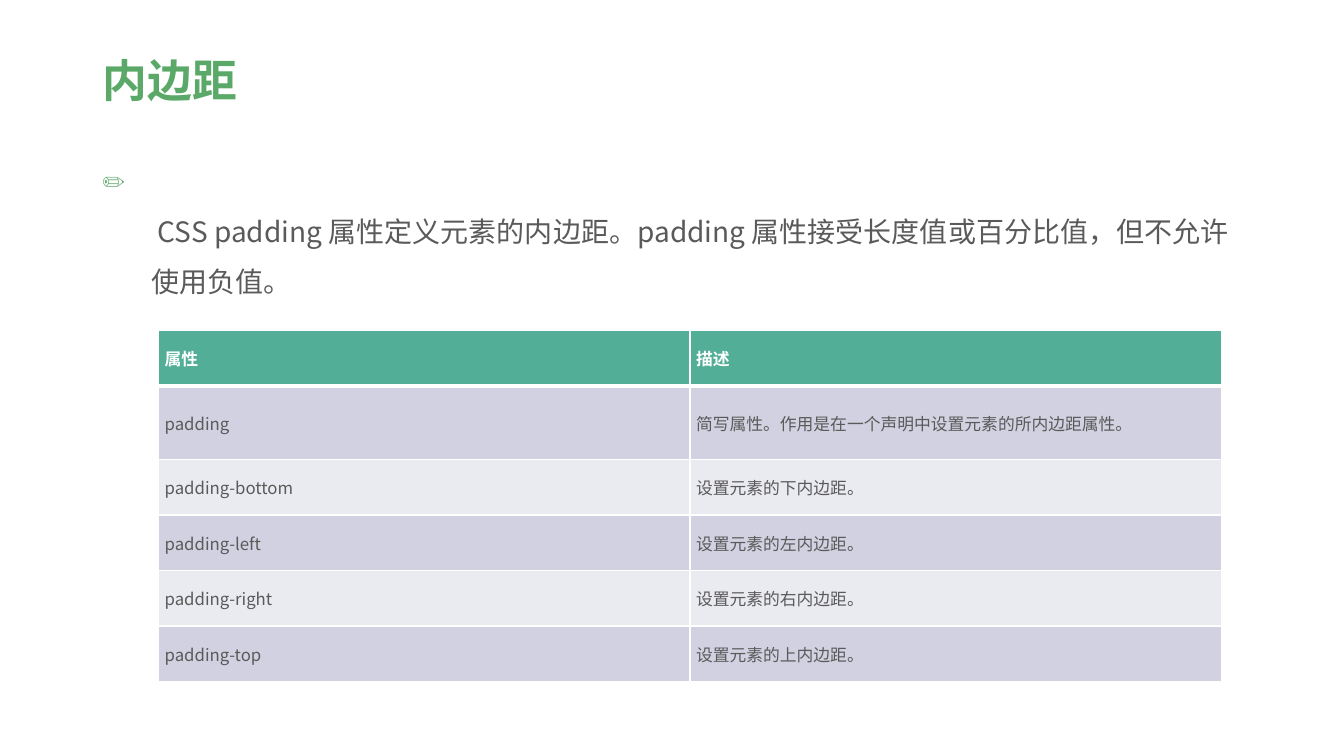
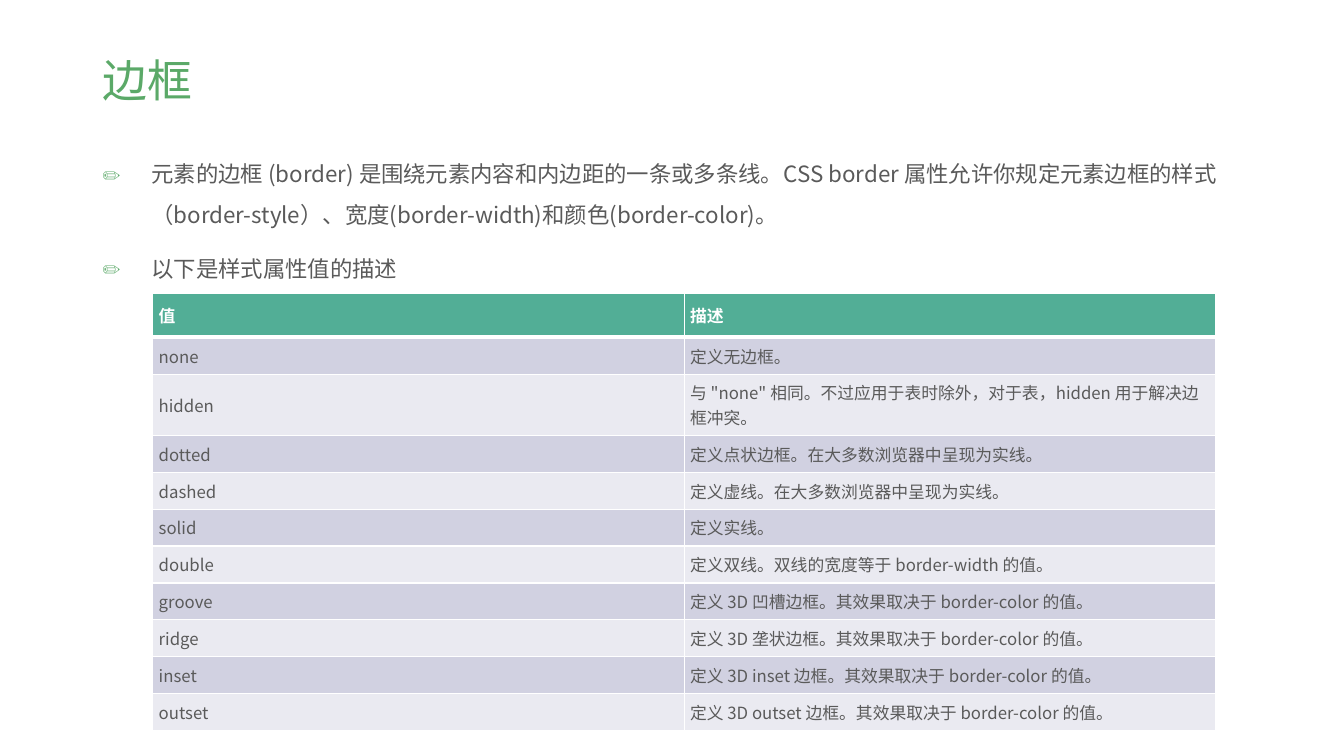
from copy import deepcopy
from dataclasses import dataclass

from pptx import Presentation
from pptx.dml.color import RGBColor
from pptx.enum.text import MSO_ANCHOR as Anchor, PP_ALIGN as Align
from pptx.oxml.ns import qn
from pptx.oxml.xmlchemy import OxmlElement
from pptx.slide import Slide
from pptx.util import Cm, Pt

FONT = "Noto Sans CJK SC"
GREEN = RGBColor(0x5B, 0xA9, 0x68)
GREY = RGBColor(0x5A, 0x5A, 0x5A)
WHITE = RGBColor(0xFF, 0xFF, 0xFF)
TEAL = RGBColor(0x52, 0xAE, 0x96)
BANDS = (RGBColor(0xD1, 0xD1, 0xE1), RGBColor(0xEA, 0xEA, 0xF1))

TITLE_ONLY = 5
TITLE_BOX = {"left": Cm(2.33), "top": Cm(1.01), "width": Cm(29.21), "height": Cm(2.15)}
BODY_BOX = {"left": Cm(2.33), "top": Cm(3.58), "width": Cm(29.21), "height": Cm(13.87)}
BODY_INDENT = Cm(1.24)
COLUMN_WIDTH = Cm(13.39)
HEADER_MARGINS = {"margin_left": Cm(0.15), "margin_right": Cm(0.41),
                  "margin_top": Cm(0.13), "margin_bottom": Cm(0.13)}
ROW_MARGINS = HEADER_MARGINS | {"margin_top": Cm(0.15), "margin_bottom": Cm(0.15)}


@dataclass(frozen=True)
class PropertyTable:
    left: float
    top: float
    header_height: float
    row_height: float
    tall_row: int
    tall_height: float
    rows: tuple[tuple[str, str], ...]


@dataclass(frozen=True)
class Topic:
    title: str
    title_bold: bool
    body_size: int
    points: tuple[str, ...]
    table: PropertyTable


TOPICS = (
    Topic(
        "内边距", True, 20,
        ("\n CSS padding 属性定义元素的内边距。padding 属性接受长度值或百分比值，但不允许使用负值。",),
        PropertyTable(4.0, 8.33, 1.4, 1.4, 1, 1.85, (
            ("属性", "描述"),
            ("padding", "简写属性。作用是在一个声明中设置元素的所内边距属性。"),
            ("padding-bottom", "设置元素的下内边距。"),
            ("padding-left", "设置元素的左内边距。"),
            ("padding-right", "设置元素的右内边距。"),
            ("padding-top", "设置元素的上内边距。"),
        )),
    ),
    Topic(
        "边框", False, 16,
        ("元素的边框 (border) 是围绕元素内容和内边距的一条或多条线。CSS border 属性允许你规定元素边框的样式"
         "（border-style）、宽度(border-width)和颜色(border-color)。",
         "以下是样式属性值的描述"),
        PropertyTable(3.85, 7.4, 1.1, 0.93, 2, 1.54, (
            ("值", "描述"),
            ("none", "定义无边框。"),
            ("hidden", "与 \"none\" 相同。不过应用于表时除外，对于表，hidden 用于解决边框冲突。"),
            ("dotted", "定义点状边框。在大多数浏览器中呈现为实线。"),
            ("dashed", "定义虚线。在大多数浏览器中呈现为实线。"),
            ("solid", "定义实线。"),
            ("double", "定义双线。双线的宽度等于 border-width 的值。"),
            ("groove", "定义 3D 凹槽边框。其效果取决于 border-color 的值。"),
            ("ridge", "定义 3D 垄状边框。其效果取决于 border-color 的值。"),
            ("inset", "定义 3D inset 边框。其效果取决于 border-color 的值。"),
            ("outset", "定义 3D outset 边框。其效果取决于 border-color 的值。"),
        )),
    ),
)


def apply_format(target: object, values: dict) -> None:
    for name, value in values.items():
        setattr(target, name, value)


def add_child(parent, tag: str, **attributes: str):
    child = OxmlElement(tag)
    for name, value in attributes.items():
        child.set(name, value)
    parent.append(child)
    return child


def add_text(paragraph, text: str, size: int, color: RGBColor, bold: bool = False) -> None:
    line_break = text.startswith("\n")
    if line_break:
        paragraph.add_line_break()
    run = paragraph.add_run()
    run.text = text.lstrip("\n")
    apply_format(run.font, {"name": FONT, "size": Pt(size), "bold": bold})
    run.font.color.rgb = color
    properties = run.font._element
    add_child(properties, "a:ea", typeface=FONT)
    if line_break:
        paragraph._p.find(qn("a:br")).append(deepcopy(properties))


def add_bullet(paragraph) -> None:
    properties = paragraph._p.get_or_add_pPr()
    properties.set("marL", str(BODY_INDENT))
    properties.set("indent", str(-BODY_INDENT))
    add_child(add_child(properties, "a:buClr"), "a:srgbClr", val=str(GREEN))
    add_child(properties, "a:buSzPct", val="85000")
    add_child(properties, "a:buFont", typeface=FONT)
    add_child(properties, "a:buChar", char="✏")


def add_title(slide: Slide, topic: Topic) -> None:
    title = slide.shapes.title
    apply_format(title, TITLE_BOX)
    apply_format(title.text_frame, {"vertical_anchor": Anchor.MIDDLE, "word_wrap": True})
    paragraph = title.text_frame.paragraphs[0]
    apply_format(paragraph, {"alignment": Align.LEFT, "line_spacing": 0.9})
    add_text(paragraph, topic.title, 32, GREEN, topic.title_bold)


def add_body(slide: Slide, topic: Topic) -> None:
    frame = slide.shapes.add_textbox(*BODY_BOX.values()).text_frame
    frame.word_wrap = True
    for index, point in enumerate(topic.points):
        paragraph = frame.add_paragraph() if index else frame.paragraphs[0]
        apply_format(paragraph, {"line_spacing": 1.5, "space_before": Pt(10)})
        add_bullet(paragraph)
        add_text(paragraph, point, topic.body_size, GREY)


def set_borders(cell, top: int, bottom: int) -> None:
    properties = cell._tc.get_or_add_tcPr()
    for tag, width in (("a:lnL", 1), ("a:lnR", 1), ("a:lnT", top), ("a:lnB", bottom)):
        line = add_child(properties, tag, w=str(Pt(width)))
        add_child(add_child(line, "a:solidFill"), "a:srgbClr", val=str(WHITE))


def format_cell(cell, text: str, row_index: int) -> None:
    header = row_index == 0
    apply_format(cell, HEADER_MARGINS if header else ROW_MARGINS)
    cell.vertical_anchor = Anchor.MIDDLE
    set_borders(cell, 3 if row_index == 1 else 1, 3 if header else 1)
    cell.fill.solid()
    cell.fill.fore_color.rgb = TEAL if header else BANDS[(row_index - 1) % 2]
    add_text(cell.text_frame.paragraphs[0], text, 12, WHITE if header else GREY, header)


def add_property_table(slide: Slide, data: PropertyTable) -> None:
    heights = [data.header_height] + [data.row_height] * (len(data.rows) - 1)
    heights[data.tall_row] = data.tall_height
    table = slide.shapes.add_table(
        len(data.rows), 2, Cm(data.left), Cm(data.top), COLUMN_WIDTH * 2, Cm(sum(heights))
    ).table
    for column in table.columns:
        column.width = COLUMN_WIDTH
    for row_index, (texts, height) in enumerate(zip(data.rows, heights)):
        table.rows[row_index].height = Cm(height)
        for column_index, text in enumerate(texts):
            format_cell(table.cell(row_index, column_index), text, row_index)


def main() -> None:
    presentation = Presentation()
    apply_format(presentation, {"slide_width": Cm(33.87), "slide_height": Cm(19.05)})
    for topic in TOPICS:
        slide = presentation.slides.add_slide(presentation.slide_layouts[TITLE_ONLY])
        add_title(slide, topic)
        add_body(slide, topic)
        add_property_table(slide, topic.table)
    presentation.save("out.pptx")


if __name__ == "__main__":
    main()
